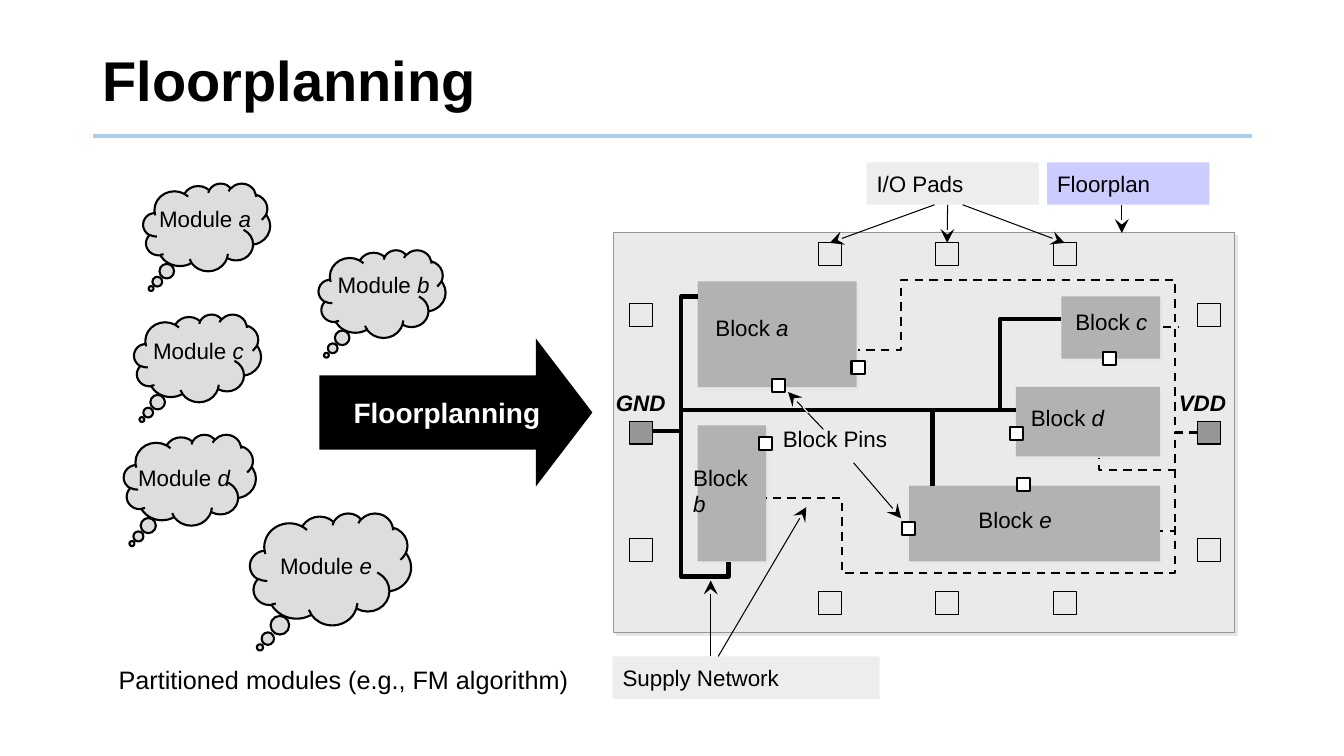
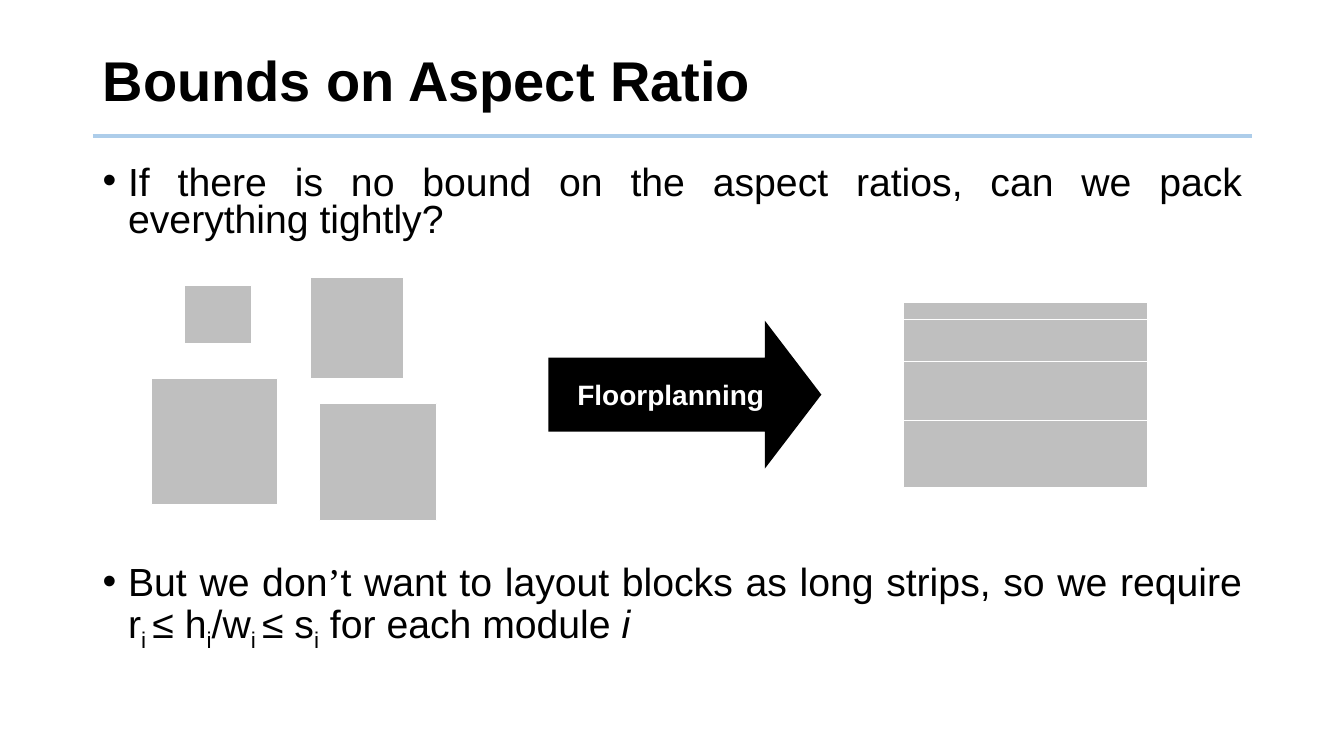
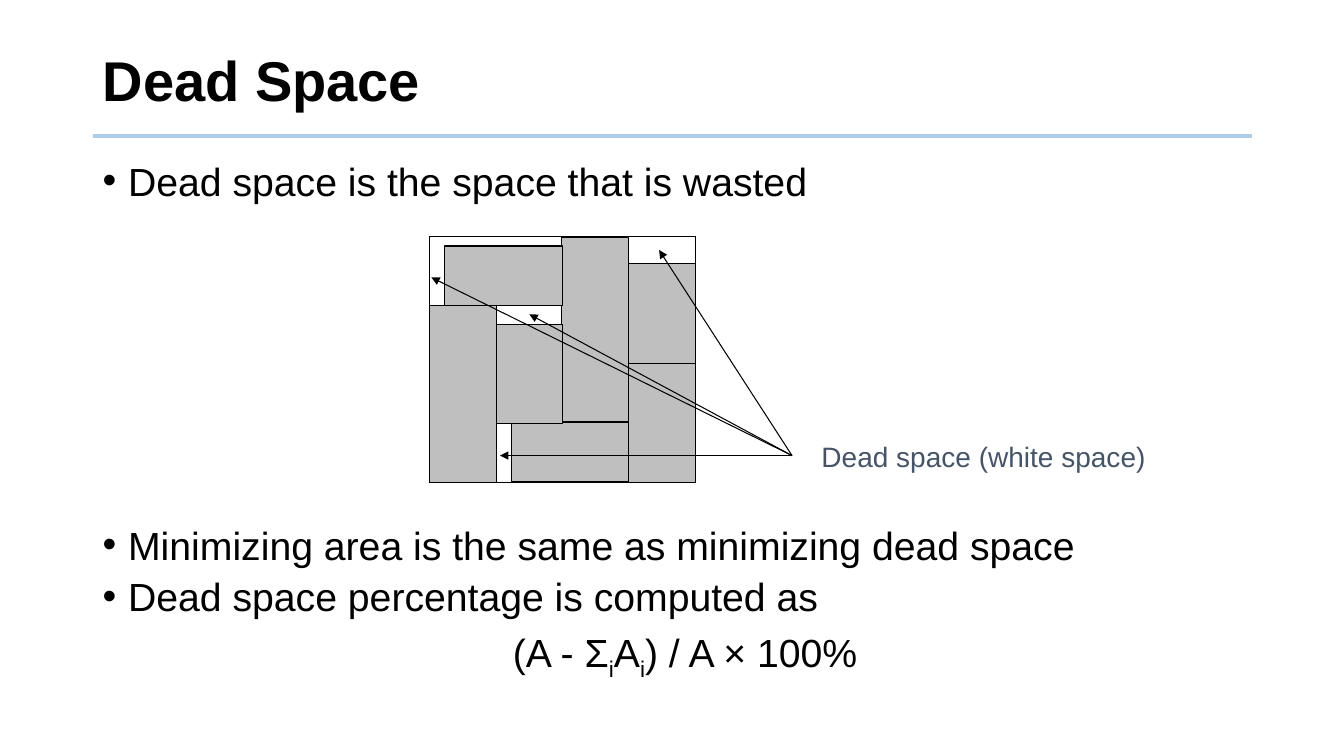
from lxml import etree
from pptx import Presentation
from pptx.dml.color import RGBColor
from pptx.enum.dml import MSO_LINE
from pptx.enum.shapes import MSO_CONNECTOR, MSO_SHAPE
from pptx.enum.text import MSO_ANCHOR, PP_ALIGN
from pptx.oxml.ns import qn
from pptx.util import Cm, Pt

RECTANGLE = MSO_SHAPE.RECTANGLE
CLOUD = MSO_SHAPE.CLOUD_CALLOUT
RIGHT_ARROW = MSO_SHAPE.RIGHT_ARROW
STRAIGHT = MSO_CONNECTOR.STRAIGHT
DASH = MSO_LINE.DASH
TOP, MIDDLE = MSO_ANCHOR.TOP, MSO_ANCHOR.MIDDLE
LEFT, CENTER, JUSTIFY = PP_ALIGN.LEFT, PP_ALIGN.CENTER, PP_ALIGN.JUSTIFY

BLACK, WHITE = "000000", "FFFFFF"
RULE_BLUE, SLATE, LAVENDER = "ADCDEA", "44546A", "CCCCFF"
CLOUD_GREY, CHIP_GREY, BLOCK_GREY = "DDDDDD", "EAEAEA", "B2B2B2"
LABEL_GREY, PAD_GREY, MODULE_GREY, SHADOW_GREY = "EDEDED", "969696", "BFBFBF", "E7E6E6"
color = RGBColor.from_string


def add_shape(slide, kind, box, fill=None, line=None, weight=0.75):
    """Add a preset shape, or a text box when kind is None; box is in cm."""
    place = [Cm(length) for length in box]
    if kind is None:
        return slide.shapes.add_textbox(*place)
    shape = slide.shapes.add_shape(kind, *place)
    shape.shadow.inherit = False
    if fill:
        shape.fill.solid()
        shape.fill.fore_color.rgb = color(fill)
    else:
        shape.fill.background()
    if line:
        shape.line.color.rgb = color(line)
        shape.line.width = Pt(weight)
    else:
        shape.line.fill.background()
    return shape


def write(shape, paragraphs, size=16, text_color=BLACK, bold=False,
          align=LEFT, anchor=TOP, wrap=True):
    """Write paragraphs, each a list of (text, style) runs."""
    frame = shape.text_frame
    frame.word_wrap = wrap
    frame.vertical_anchor = anchor
    for index, runs in enumerate(paragraphs):
        paragraph = frame.add_paragraph() if index else frame.paragraphs[0]
        paragraph.alignment = align
        for text, style in runs:
            if text == "\n":
                paragraph.add_line_break()
                continue
            run = paragraph.add_run()
            run.text = text
            run.font.name = "Times New Roman" if style == "serif" else "Arial"
            run.font.size = Pt(size)
            run.font.bold = bold
            run.font.italic = style == "italic"
            run.font.color.rgb = color(text_color)
            if style == "sub":
                run.font.size = Pt(size)
                run._r.get_or_add_rPr().set("baseline", "-25000")


presentation = Presentation()
presentation.slide_width = Cm(33.87)
presentation.slide_height = Cm(19.05)

# Shared titles; every straight line is gathered here and drawn at the end:
# (slide, from, to, color, weight, dashed, arrowhead, pad to join)
slides, lines = [], []
for title in ["Floorplanning", "Bounds on Aspect Ratio", "Dead Space"]:
    slide = presentation.slides.add_slide(presentation.slide_layouts[6])
    title_box = add_shape(slide, None, (2.34, 0.71, 29.21, 2.79))
    write(title_box, [[(title, "")]], size=40, bold=True, anchor=MIDDLE)
    title_box.text_frame.paragraphs[0].line_spacing = 0.9
    lines.append((slide, (2.34, 3.43), (31.55, 3.43), RULE_BLUE, 3, False, None, None))
    slides.append(slide)
floorplan_slide, ratio_slide, dead_space_slide = slides

# Floorplanning arrows
for slide, left, top, inset in [(floorplan_slide, 8.05, 8.53, 0.86),
                                (ratio_slide, 13.82, 8.08, 0.73)]:
    arrow = add_shape(slide, RIGHT_ARROW, (left, top, 6.88, 3.73), BLACK)
    arrow.adjustments[0], arrow.adjustments[1] = 0.501, 0.382
    arrow.text_frame.margin_left = Cm(inset)
    write(arrow, [[("Floorplanning", "")]], size=20, text_color=WHITE, bold=True,
          anchor=MIDDLE, wrap=False)

# Slide 1: partitioned modules
modules = [
    ("e", (6.3, 12.93, 4.06, 2.82), (6.81, 13.79)),
    ("d", (3.12, 10.95, 3.33, 2.29), (3.23, 11.56)),
    ("c", (3.38, 7.92, 3.2, 2.21), (3.61, 8.36)),
    ("b", (8.03, 6.3, 3.2, 2.21), (8.26, 6.71)),
    ("a", (3.61, 4.62, 3.2, 2.21), (3.76, 5.05)),
]
for name, cloud_box, label_at in modules:
    cloud = add_shape(floorplan_slide, CLOUD, cloud_box, CLOUD_GREY, BLACK, 1.5)
    cloud.adjustments[0], cloud.adjustments[1] = -0.438, 0.7
    label = add_shape(floorplan_slide, None, (*label_at, 3.5, 0.94))
    write(label, [[("Module ", ""), (name, "italic")]])

# Slide 1: chip outline and blocks, with a soft shadow
blocks = [
    ("a", (17.58, 7.09, 4.01, 2.67), (17.78, 7.8)),
    ("b", (17.58, 10.72, 1.73, 3.43), (17.22, 11.56)),
    ("c", (26.75, 7.47, 2.49, 1.57), (26.85, 7.65)),
    ("d", (25.6, 9.75, 3.63, 1.75), (25.73, 10.06)),
    ("e", (22.91, 12.24, 6.32, 1.91), (24.41, 12.62)),
]
shaded = [add_shape(floorplan_slide, RECTANGLE, (15.47, 5.87, 15.65, 10.08),
                    CHIP_GREY, PAD_GREY)]
for name, block_box, label_at in blocks:
    shaded.append(add_shape(floorplan_slide, RECTANGLE, block_box, BLOCK_GREY))
for shape in shaded:
    effects = shape._element.spPr.find(qn("a:effectLst"))
    shadow = etree.SubElement(effects, qn("a:outerShdw"), dist="35921", dir="2700000",
                              algn="ctr", rotWithShape="0")
    etree.SubElement(shadow, qn("a:srgbClr"), val=SHADOW_GREY)

# Slide 1: supply wiring (weight, dashed, points)
wires = [
    (3, False, [(16.43, 10.87), (17.17, 10.87), (17.17, 7.47), (17.58, 7.47)]),
    (3, False, [(17.17, 10.87), (17.17, 14.53), (18.36, 14.53), (18.36, 14.17)]),
    (3, False, [(25.2, 10.34), (25.2, 8.03), (26.75, 8.03)]),
    (1.5, True, [(30.18, 10.9), (29.62, 10.9), (29.62, 11.84), (27.69, 11.84),
                 (27.69, 11.53)]),
    (1.5, True, [(29.62, 11.84), (29.62, 13.39), (29.24, 13.39)]),
    (1.5, True, [(29.62, 13.26), (29.62, 14.43), (21.21, 14.43), (21.21, 12.55),
                 (19.3, 12.55)]),
    (1.5, True, [(30.18, 10.9), (29.62, 10.9), (29.62, 7.06), (22.71, 7.06),
                 (22.71, 8.81), (21.62, 8.81)]),
]
for weight, dashed, points in wires:
    corners = [(Cm(x), Cm(y)) for x, y in points]
    builder = floorplan_slide.shapes.build_freeform(*corners[0])
    builder.add_line_segments(corners[1:], close=False)
    wire = builder.convert_to_shape()
    wire.shadow.inherit = False
    wire.fill.background()
    wire.line.color.rgb = color(BLACK)
    wire.line.width = Pt(weight)
    if dashed:
        wire.line.dash_style = DASH

# Slide 1: three pads along each side; the middle ones left and right are supplies
pad_size, pad_step = 0.58, 2.96
top_pads = []
for index in range(3):
    across, down = 20.62 + index * pad_step, 7.65 + index * pad_step
    supply_fill = PAD_GREY if index == 1 else None
    top_pads.append(add_shape(floorplan_slide, RECTANGLE,
                              (across, 6.12, pad_size, pad_size), None, BLACK))
    for left, top, fill in [(across, 14.91, None), (15.86, down, supply_fill),
                            (30.18, down, supply_fill)]:
        add_shape(floorplan_slide, RECTANGLE, (left, top, pad_size, pad_size), fill, BLACK)

# Slide 1: block pins
for left, top in [(19.13, 11.02), (19.46, 9.55), (21.46, 9.09), (25.45, 10.77),
                  (27.79, 8.86), (25.63, 12.04), (22.73, 13.16)]:
    add_shape(floorplan_slide, RECTANGLE, (left, top, 0.33, 0.33), WHITE, BLACK, 1.5)

# Slide 1: labels
for name, block_box, label_at in blocks:
    label = add_shape(floorplan_slide, None, (*label_at, 2.44 if name == "b" else 3.4, 1.07))
    runs = [("Block", ""), ("\n", "")] if name == "b" else [("Block ", "")]
    write(label, [runs + [(name, "italic")]])
for text, box, fill in [("I/O Pads", (21.84, 4.09, 4.34, 1.07), LABEL_GREY),
                        ("Floorplan", (26.39, 4.09, 4.09, 1.07), LAVENDER),
                        ("Supply Network", (15.44, 16.54, 6.73, 1.07), LABEL_GREY)]:
    label = add_shape(floorplan_slide, RECTANGLE, box, fill)
    write(label, [[(text, "")]], anchor=MIDDLE)
for text, left in [("GND", 15.27), ("VDD", 29.46)]:
    label = add_shape(floorplan_slide, None, (left, 9.67, 2, 1.07))
    write(label, [[(text, "italic")]], bold=True, wrap=False)
write(add_shape(floorplan_slide, None, (19.48, 10.59, 4.14, 1.07)), [[("Block Pins", "")]])
write(add_shape(floorplan_slide, None, (2.74, 16.61, 11.94, 1.02)),
      [[("Partitioned modules (e.g., FM algorithm)", "")]], size=18, wrap=False)

# Slide 1: supply bus and pointers
for start, end, line_color, weight, dashed, head in [
    ((17.17, 10.34), (25.6, 10.34), BLACK, 3, False, None),
    ((23.5, 10.34), (23.5, 12.24), BLACK, 3, False, None),
    ((29.31, 8.25), (29.69, 8.25), BLACK, 1.5, True, None),
    ((28.27, 5.16), (28.27, 5.87), BLACK, 0.75, False, "stealth"),
    ((17.91, 16.54), (17.91, 14.63), BLACK, 0.75, False, "stealth"),
    ((18.1, 16.54), (20.32, 12.78), BLACK, 0.75, False, "stealth"),
    ((20.75, 10.82), (19.86, 9.88), BLACK, 0.75, False, "stealth"),
    ((21.51, 11.66), (22.71, 13.06), BLACK, 0.75, False, "stealth"),
    ((20.24, 10.26), (20.37, 10.41), WHITE, 0.75, False, None),
]:
    lines.append((floorplan_slide, start, end, line_color, weight, dashed, head, None))
for left, pad in zip([23.55, 23.88, 24.26], top_pads):
    lines.append((floorplan_slide, (left, 5.16), (left, 6.12), BLACK, 0.75, False,
                  "stealth", pad))

# Slides 2 and 3: bulleted text
bodies = [
    (ratio_slide, 4.06, JUSTIFY, [[
        ("If there is no bound on the aspect ratios, can we pack everything tightly?", "")]]),
    (ratio_slide, 14.15, JUSTIFY, [[
        ("But we don", ""), ("’", "serif"),
        ("t want to layout blocks as long strips, so we require r", ""), ("i ", "sub"),
        ("≤ h", ""), ("i", "sub"), ("/w", ""), ("i ", "sub"), ("≤ s", ""), ("i", "sub"),
        (" for each module ", ""), ("i", "italic")]]),
    (dead_space_slide, 4.06, LEFT, [[("Dead space is the space that is wasted", "")]]),
    (dead_space_slide, 13.23, LEFT, [
        [("Minimizing area is the same as minimizing dead space", "")],
        [("Dead space percentage is computed as", "")],
        [("(A - Σ", ""), ("i", "sub"), ("A", ""), ("i", "sub"), (") / A × 100%", "")]]),
]
for slide, top, align, paragraphs in bodies:
    body = add_shape(slide, None, (2.34, top, 29.21, 1.3 * len(paragraphs) + 1))
    write(body, paragraphs, size=28, align=align)
    for index, paragraph in enumerate(body.text_frame.paragraphs):
        properties = paragraph._p.get_or_add_pPr()
        properties.set("marL", str(Cm(0.64)))
        if paragraph.text.startswith("(A"):
            paragraph.alignment = CENTER
        else:
            properties.set("indent", str(-Cm(0.64)))
            etree.SubElement(properties, qn("a:buFont"), typeface="Arial")
            etree.SubElement(properties, qn("a:buChar"), char="•")
        paragraph.line_spacing = 0.8
        if index:
            paragraph.space_before = Pt(10)

# Slide 2: loose modules, then the same areas packed as strips
for box in [(4.65, 7.19, 1.69, 1.48), (7.83, 6.99, 2.33, 2.54),
            (8.05, 10.16, 2.96, 2.96), (3.81, 9.53, 3.18, 3.18)]:
    add_shape(ratio_slide, RECTANGLE, box, MODULE_GREY, WHITE)
strip_top = 7.62
for height in [0.43, 1.06, 1.48, 1.69]:
    add_shape(ratio_slide, RECTANGLE, (22.76, strip_top, 6.15, height), MODULE_GREY, WHITE)
    strip_top += height

# Slide 3: packed modules inside their outline
for box in [(15.84, 6.64, 1.68, 2.51), (15.84, 9.15, 1.68, 3), (12.88, 10.64, 2.97, 1.5),
            (14.16, 5.98, 1.68, 4.65), (12.5, 8.18, 1.68, 2.49), (11.2, 6.2, 2.97, 1.5),
            (10.83, 7.7, 1.68, 4.47)]:
    add_shape(dead_space_slide, RECTANGLE, box, MODULE_GREY, BLACK)
add_shape(dead_space_slide, RECTANGLE, (10.83, 5.96, 6.69, 6.2), None, BLACK)
caption = add_shape(dead_space_slide, None, (20.42, 10.95, 8.74, 1.12))
write(caption, [[("Dead space (white space)", "")]], size=20, text_color=SLATE,
      align=CENTER, wrap=False)
for gap in [(16.61, 6.3), (13.34, 7.92), (10.87, 6.99), (12.6, 11.48)]:
    lines.append((dead_space_slide, (19.96, 11.48), gap, BLACK, 0.75, False,
                  "triangle", None))

# Straight lines and arrows of all slides
for slide, start, end, line_color, weight, dashed, head, pad in lines:
    ends = [Cm(length) for length in (*start, *end)]
    connector = slide.shapes.add_connector(STRAIGHT, *ends)
    if pad is not None:
        connector.end_connect(pad, 0)
    connector.line.color.rgb = color(line_color)
    connector.line.width = Pt(weight)
    if dashed:
        connector.line.dash_style = DASH
    if head:
        etree.SubElement(connector.line._get_or_add_ln(), qn("a:tailEnd"), type=head,
                         w="med" if head == "triangle" else "lg",
                         len="med" if head == "triangle" else "lg")
    etree.SubElement(connector._element.spPr, qn("a:effectLst"))

presentation.save("out.pptx")
